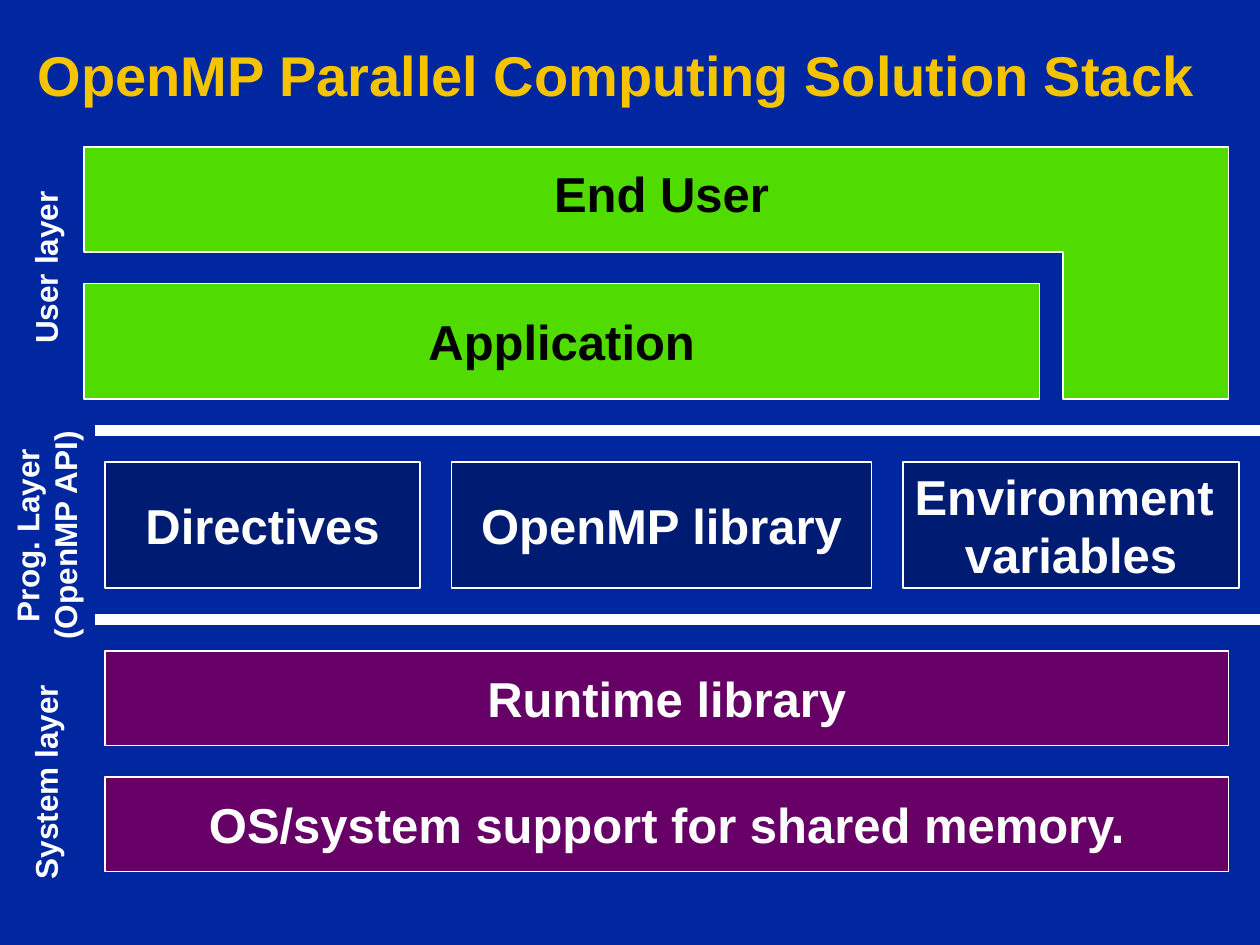
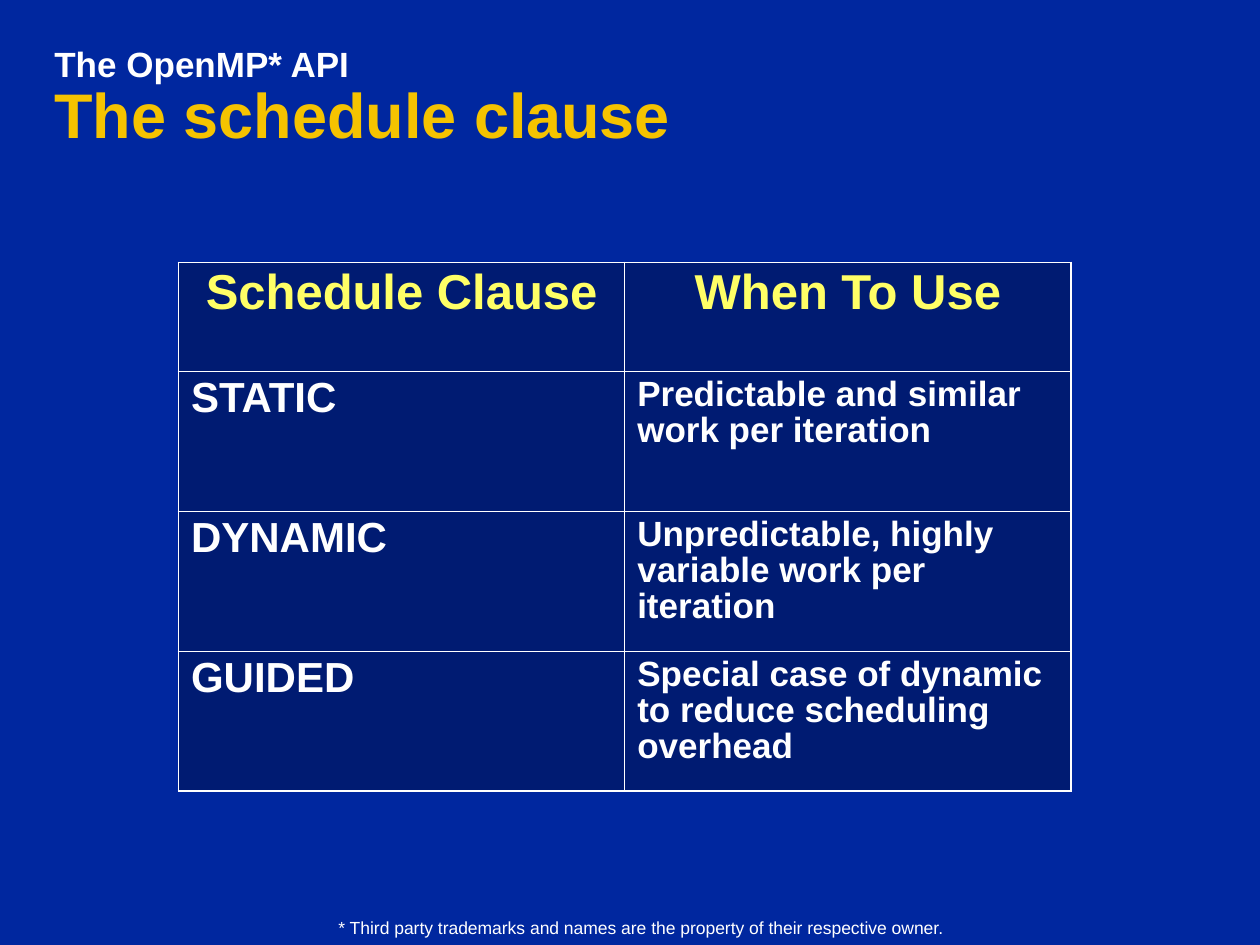
from lxml.etree import SubElement
from pptx import Presentation
from pptx.dml.color import RGBColor
from pptx.enum.shapes import MSO_CONNECTOR, MSO_SHAPE
from pptx.enum.text import MSO_ANCHOR, PP_ALIGN
from pptx.oxml.ns import qn
from pptx.util import Pt

COLORS = {
    "background": "00279F",
    "title": "F5C300",
    "white": "FFFFFF",
    "black": "000000",
    "user": "51DC00",
    "programming": "001B72",
    "system": "660066",
    "heading": "FFFF66",
}
FONT = "Arial"
LEFT, CENTER = PP_ALIGN.LEFT, PP_ALIGN.CENTER
TOP, MIDDLE = MSO_ANCHOR.TOP, MSO_ANCHOR.MIDDLE


def color(name):
    return RGBColor.from_string(COLORS[name])


class SlideBuilder:
    """Holds the deck style and the slide being built."""

    def __init__(self):
        self.deck = Presentation()
        self.deck.slide_width = Pt(720)
        self.deck.slide_height = Pt(540)
        self.page = None

    def new_page(self):
        self.page = self.deck.slides.add_slide(self.deck.slide_layouts[6])
        self.page.background.fill.solid()
        self.page.background.fill.fore_color.rgb = color("background")

    def add_lines(self, frame, lines, align=LEFT, spacing=None):
        """Add (text, size, color, bold) lines, split by line breaks."""
        para = frame.paragraphs[0]
        para.alignment = align
        if spacing:
            para.line_spacing = spacing
        for index, (text, size, ink, bold) in enumerate(lines):
            if index:
                para.add_line_break()
            span = para.add_run()
            span.text = text
            span.font.name = FONT
            span.font.size = Pt(size)
            span.font.bold = bold
            span.font.color.rgb = color(ink)

    def text(self, left, top, width, height, lines, align=LEFT, anchor=TOP, spacing=None):
        box = self.page.shapes.add_textbox(Pt(left), Pt(top), Pt(width), Pt(height))
        box.text_frame.word_wrap = True
        box.text_frame.vertical_anchor = anchor
        self.add_lines(box.text_frame, lines, align, spacing)
        return box

    def title(self, left, top, width, lines):
        self.text(left, top, width, 90, lines, anchor=MIDDLE, spacing=0.88)

    def side_label(self, middle, length, height, label, align=LEFT):
        """Label read upwards along the left edge, centred on a height."""
        box = self.text(26 - length / 2, middle - height / 2, length, height,
                        [(label, 18, "white", True)], align)
        box.rotation = 270

    def paint(self, shape, fill):
        shape.shadow.inherit = False
        shape.fill.solid()
        shape.fill.fore_color.rgb = color(fill)
        shape.line.color.rgb = color("white")
        shape.line.width = Pt(1)

    def block(self, left, top, width, height, fill, *words, ink="white"):
        box = self.page.shapes.add_shape(
            MSO_SHAPE.RECTANGLE, Pt(left), Pt(top), Pt(width), Pt(height))
        self.paint(box, fill)
        box.text_frame.word_wrap = False
        box.text_frame.vertical_anchor = MIDDLE
        self.add_lines(box.text_frame, [(word, 28, ink, True) for word in words], CENTER)

    def outline(self, points, fill):
        start, *rest = [(Pt(x), Pt(y)) for x, y in points]
        builder = self.page.shapes.build_freeform(*start)
        builder.add_line_segments(rest, close=True)
        self.paint(builder.convert_to_shape(), fill)

    def divider(self, top):
        line = self.page.shapes.add_connector(
            MSO_CONNECTOR.STRAIGHT, Pt(54), Pt(top), Pt(720), Pt(top))
        line.line.color.rgb = color("white")
        line.line.width = Pt(6)
        SubElement(line._element.spPr, qn("a:effectLst"))

    def border(self, cell, side, width):
        line = SubElement(cell._tc.get_or_add_tcPr(), qn(f"a:ln{side}"), w=str(Pt(width)))
        fill = SubElement(line, qn("a:solidFill"))
        SubElement(fill, qn("a:srgbClr"), val=COLORS["white"])

    def table(self, left, top, column_width, row_heights, rows):
        last_row, last_column = len(rows) - 1, len(rows[0]) - 1
        table = self.page.shapes.add_table(
            len(rows), len(rows[0]), Pt(left), Pt(top),
            Pt(column_width * len(rows[0])), Pt(sum(row_heights))).table
        table.first_row = table.horz_banding = False
        for column in table.columns:
            column.width = Pt(column_width)
        for r, (height, words) in enumerate(zip(row_heights, rows)):
            table.rows[r].height = Pt(height)
            for c, word in enumerate(words):
                cell = table.cell(r, c)
                edges = {"L": c == 0, "R": c == last_column,
                         "T": r == 0, "B": r == last_row}
                for side, outer in edges.items():
                    self.border(cell, side, 1.08 if outer else 0.45)
                cell.fill.solid()
                cell.fill.fore_color.rgb = color("programming")
                cell.margin_left = cell.margin_right = Pt(7.2)
                cell.margin_top = cell.margin_bottom = Pt(3.6)
                if r == 0:
                    size, ink, align = 28, "heading", CENTER
                else:
                    size, ink, align = (24, 20)[c], "white", LEFT
                self.add_lines(cell.text_frame, [(word, size, ink, True)], align, 0.93)


def solution_stack(builder):
    builder.new_page()
    builder.title(14.4, 0, 705.6,
                  [("OpenMP Parallel Computing Solution Stack", 32, "title", True)])

    # System layer
    for top, word in ((372, "Runtime library"),
                      (444, "OS/system support for shared memory.")):
        builder.block(60, top, 642, 54, "system", word)

    # Programming layer, equal gaps between blocks
    left, gap = 60, 18
    for width, words in ((180, ["Directives"]), (240, ["OpenMP library"]),
                         (192, ["Environment ", "variables"])):
        builder.block(left, 264, width, 72, "programming", *words)
        left += width + gap

    # User layer
    builder.block(48, 162, 546, 66, "user", "Application", ink="black")
    builder.outline([(48, 84), (702, 84), (702, 228), (607.5, 228),
                     (607.5, 144), (48, 144)], "user")
    builder.text(204, 90, 348, 41, [("End User", 28, "black", True)], CENTER)

    # Dividers and layer names
    for top in (354, 246):
        builder.divider(top)
    builder.side_label(443.5, 132, 29, "System layer")
    builder.side_label(306, 144, 50, "Prog. Layer (OpenMP API)", CENTER)
    builder.side_label(152.5, 102, 29, "User layer")


def schedule_clause(builder):
    builder.new_page()
    builder.table(102, 150, 255, [62, 80, 80, 80], [
        ("Schedule Clause", "When To Use"),
        ("STATIC", "Predictable and similar work per iteration"),
        ("DYNAMIC", "Unpredictable, highly variable work per iteration"),
        ("GUIDED", "Special case of dynamic to reduce scheduling overhead"),
    ])
    builder.title(24, 12, 629, [("The OpenMP* API", 20, "white", True),
                                ("The schedule clause", 36, "title", True)])
    builder.text(12, 520.5, 708, 19.5, [(
        "* Third party trademarks and names are the property of their respective owner.",
        10, "white", False)], CENTER)


def main():
    builder = SlideBuilder()
    solution_stack(builder)
    schedule_clause(builder)
    builder.deck.save("out.pptx")


if __name__ == "__main__":
    main()
